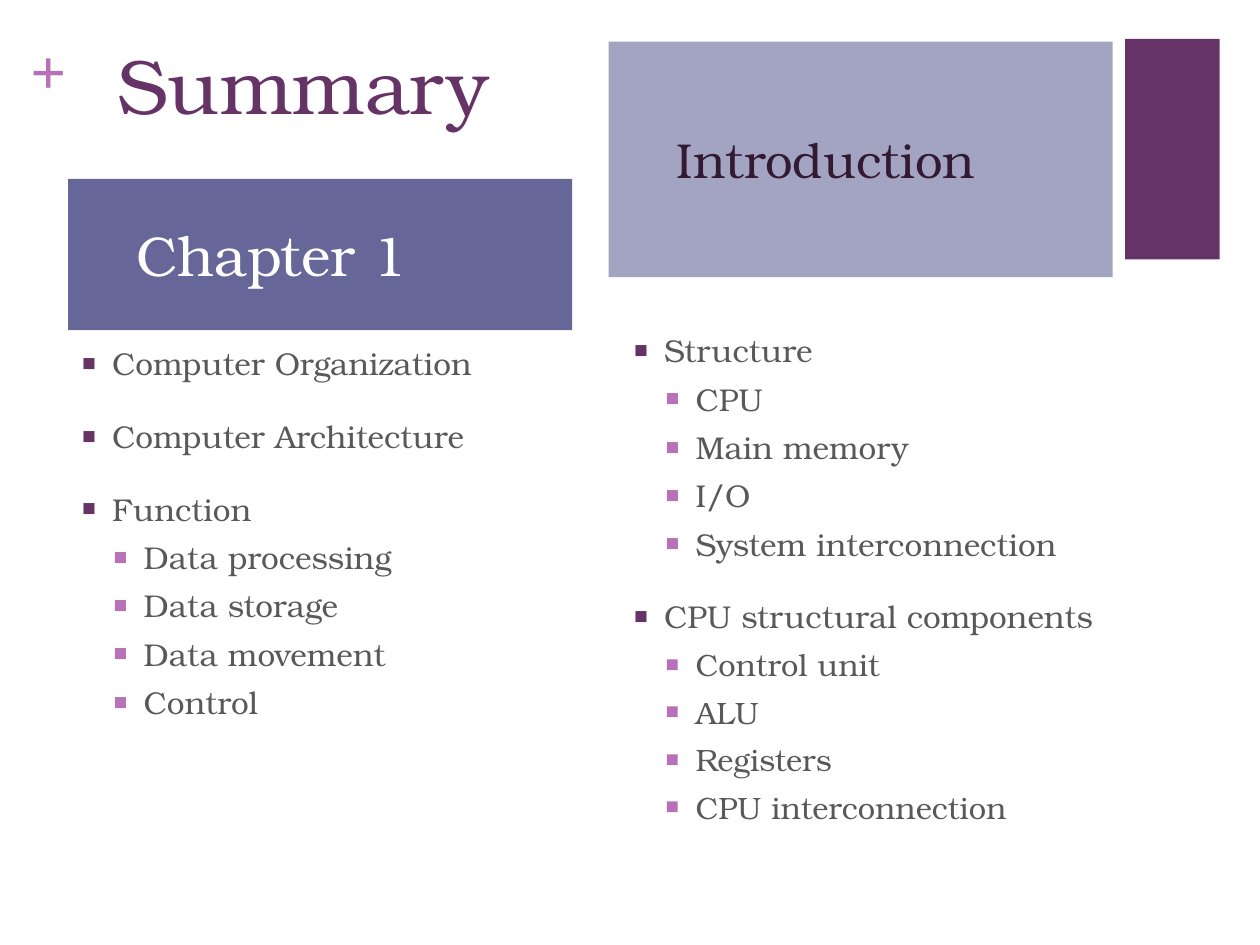
from dataclasses import dataclass

from lxml.etree import SubElement
from pptx import Presentation
from pptx.dml.color import RGBColor
from pptx.enum.shapes import MSO_SHAPE
from pptx.enum.text import MSO_ANCHOR as Anchor, MSO_AUTO_SIZE as AutoSize, PP_ALIGN as Align
from pptx.oxml.ns import qn
from pptx.util import Inches, Pt

SERIF = "TeX Gyre Bonum"
PLUM, ORCHID, GREY = "663366", "B870B8", "595959"
COMPARISON_LAYOUT = 4


@dataclass(frozen=True)
class Box:
    """A rectangle in percent of the slide's width and height."""
    left: float
    top: float
    width: float
    height: float


@dataclass(frozen=True)
class Topic:
    """A list entry with its level and text size."""
    text: str
    level: int = 0
    size: float = 18


@dataclass(frozen=True)
class Column:
    """A coloured heading over a list of topics."""
    heading: str
    heading_box: Box
    heading_size: float
    heading_color: str
    fill: str
    topics_box: Box
    topics: tuple[Topic, ...]


def group(name: str, *details: str, size: float = 18) -> tuple[Topic, ...]:
    """Return a topic followed by its details one level down."""
    return (Topic(name), *(Topic(detail, 1, size) for detail in details))


COLUMNS = (
    Column("Chapter 1", Box(5.4, 18.93, 40, 16), 32, "FFFFFF", "666699",
           Box(5.4, 35.73, 40, 53.6),
           group("Computer Organization") + group("Computer Architecture")
           + group("Function", "Data processing", "Data storage", "Data movement", "Control")),
    Column("Introduction", Box(48.3, 4.4, 40, 24.93), 28, "331A33", "A3A3C2",
           Box(49.2, 34.4, 40, 57.73),
           group("Structure", "CPU", "Main memory", "I/O", "System interconnection")
           + group("CPU structural components", "Control unit", "ALU", "Registers",
                   "CPU interconnection", size=17.6)),
)

deck = Presentation()
deck.slide_width, deck.slide_height = Inches(10), Inches(7.5)
slide = deck.slides.add_slide(deck.slide_layouts[COMPARISON_LAYOUT])


def rgb(color: str) -> RGBColor:
    """Turn a hex string into a colour."""
    return RGBColor.from_string(color)


def to_lengths(box: Box) -> tuple[int, int, int, int]:
    """Turn slide shares into lengths."""
    across, down = deck.slide_width / 100, deck.slide_height / 100
    return (round(box.left * across), round(box.top * down),
            round(box.width * across), round(box.height * down))


def place(shape, box: Box) -> None:
    """Move and size a shape."""
    shape.left, shape.top, shape.width, shape.height = to_lengths(box)


def style_text(paragraph, text: str, size: float, color: str,
               face: str = SERIF, bold: bool = False) -> None:
    """Write one left-aligned paragraph in a single font."""
    paragraph.text = text
    paragraph.alignment = Align.LEFT
    paragraph.line_spacing = 1.0
    font = paragraph.font
    font.name, font.size, font.bold = face, Pt(size), bold
    font.color.rgb = rgb(color)


def prepare_frame(frame, anchor: Anchor) -> None:
    """Wrap text at a fixed size and anchor it."""
    frame.word_wrap = True
    frame.auto_size = AutoSize.NONE
    frame.vertical_anchor = anchor


def add_bullet(paragraph, level: int) -> None:
    """Give a paragraph a hanging square bullet in its level's colour."""
    properties = paragraph._p.get_or_add_pPr()
    properties.set("marL", str(Inches(0.25 * (level + 1))))
    properties.set("indent", str(Inches(-0.25)))
    tint = SubElement(properties, qn("a:buClr"))
    SubElement(tint, qn("a:srgbClr"), val=ORCHID if level else PLUM)
    SubElement(properties, qn("a:buSzPct"), val="75000")
    SubElement(properties, qn("a:buFont"), typeface=SERIF)
    SubElement(properties, qn("a:buChar"), char="\u25a0")


def draw_title() -> None:
    """Write the slide title."""
    title = slide.shapes.title
    place(title, Box(8.3, 3.33, 44.5, 16.27))
    prepare_frame(title.text_frame, Anchor.TOP)
    style_text(title.text_frame.paragraphs[0], "Summary", 44, PLUM)


def draw_ornaments() -> None:
    """Draw the corner block and the plus sign."""
    block = slide.shapes.add_shape(
        MSO_SHAPE.RECTANGLE, *to_lengths(Box(89.3, 4.13, 7.5, 23.33)))
    block.shadow.inherit = False
    block.fill.solid()
    block.fill.fore_color.rgb = rgb(PLUM)
    block.line.fill.background()
    plus = slide.shapes.add_textbox(*to_lengths(Box(2.4, 3.33, 2.9, 8.13))).text_frame
    prepare_frame(plus, Anchor.TOP)
    plus.margin_left = plus.margin_right = plus.margin_top = plus.margin_bottom = 0
    style_text(plus.paragraphs[0], "+", 36, ORCHID, "Times New Roman", True)


def draw_heading(heading, column: Column) -> None:
    """Fill a heading placeholder."""
    place(heading, column.heading_box)
    heading.fill.solid()
    heading.fill.fore_color.rgb = rgb(column.fill)
    frame = heading.text_frame
    prepare_frame(frame, Anchor.MIDDLE)
    frame.margin_left, frame.margin_right = Inches(0.54), Inches(0.1)
    frame.margin_top = frame.margin_bottom = 0
    paragraph = frame.paragraphs[0]
    paragraph.space_before = Pt(0)
    style_text(paragraph, column.heading, column.heading_size, column.heading_color)


def draw_topics(listing, column: Column) -> None:
    """Fill a list placeholder with bulleted topics."""
    place(listing, column.topics_box)
    frame = listing.text_frame
    prepare_frame(frame, Anchor.TOP)
    for position, topic in enumerate(column.topics):
        paragraph = frame.add_paragraph() if position else frame.paragraphs[0]
        paragraph.level = topic.level
        paragraph.space_before = Pt(6 if topic.level else 20)
        paragraph.space_after = Pt(0)
        paragraph.line_spacing = 1.0
        add_bullet(paragraph, topic.level)
        style_text(paragraph, topic.text, topic.size, GREY)


draw_ornaments()
draw_title()
_, *slots = slide.placeholders
for column, heading, listing in zip(COLUMNS, slots[::2], slots[1::2]):
    draw_topics(listing, column)
    draw_heading(heading, column)

deck.save("out.pptx")
